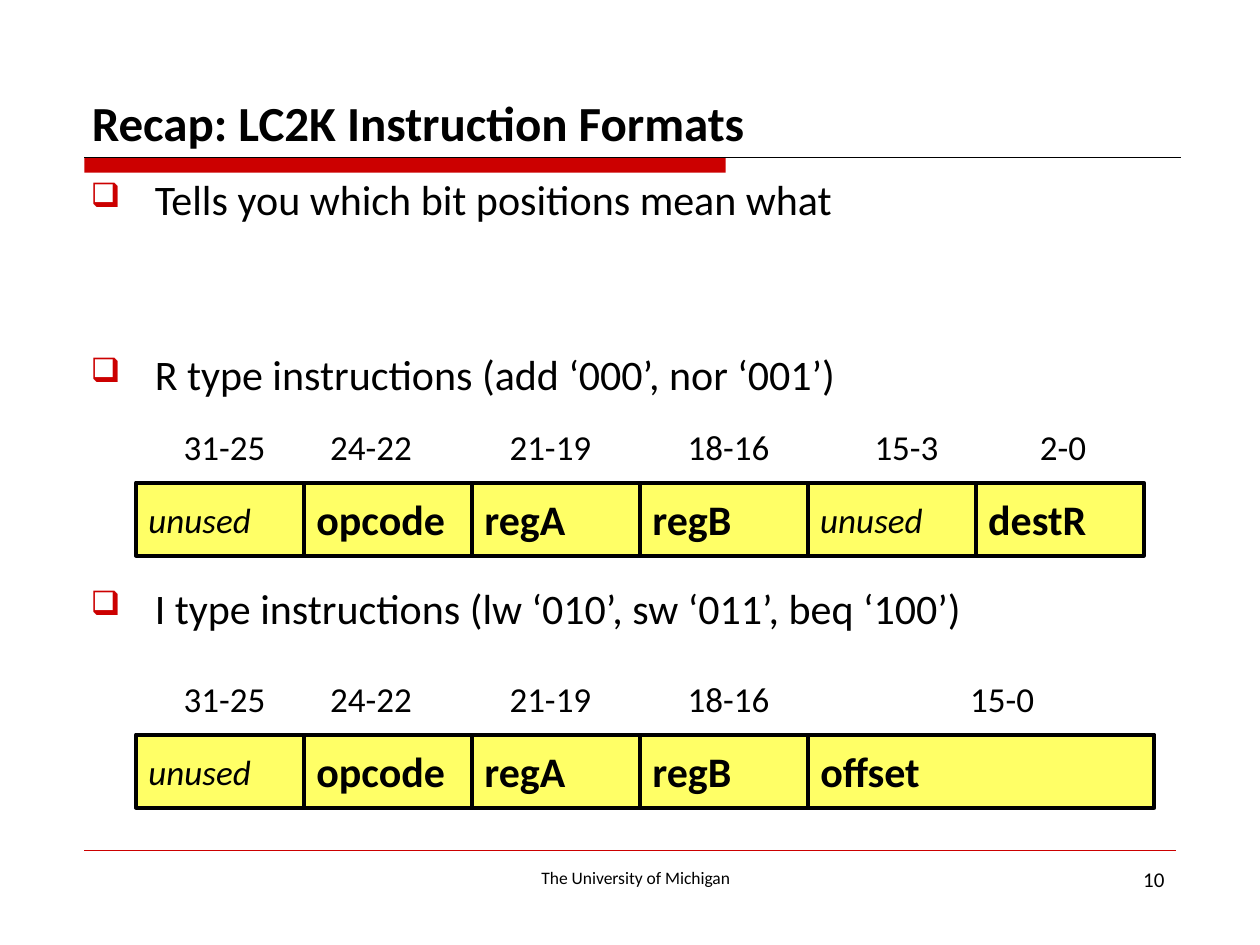
from lxml import etree
from pptx import Presentation
from pptx.dml.color import RGBColor
from pptx.enum import shapes, text
from pptx.oxml.ns import qn
from pptx.util import Inches, Pt

FONT, BLACK, RED, YELLOW = "Calibri", "000000", "CC0000", "FFFF66"
FIELD_W = 1.333
COMMON_FIELDS = [
    ("unused", FIELD_W, "31-25", 0.28, 0.86),
    ("opcode", FIELD_W, "24-22", 0.11, 0.86),
    ("regA", FIELD_W, "21-19", 0.2, 0.86),
    ("regB", FIELD_W, "18-16", 0.28, 0.86),
]
R_FIELDS = COMMON_FIELDS + [
    ("unused", FIELD_W, "15-3", 0.43, 0.71),
    ("destR", FIELD_W, "2-0", 0.41, 0.57),
]
I_FIELDS = COMMON_FIELDS + [("offset", 2.75, "15-0", 1.19, 0.71)]
BULLETS = [
    ("Tells you which bit positions mean what", 0),
    ("R type instructions (add ‘000’, nor ‘001’)", 71.3),
    ("I type instructions (lw ‘010’, sw ‘011’, beq ‘100’)", 104.4),
]


def rgb(value):
    """Turn a hex string into a colour."""
    return RGBColor.from_string(value)


def write(p, words, size=20, bold=False, italic=False, align=text.PP_ALIGN.LEFT):
    """Fill a paragraph with one formatted run."""
    p.alignment = align
    r = p.add_run()
    r.text = words
    r.font.name, r.font.size = FONT, Pt(size)
    r.font.bold, r.font.italic = bold, italic
    r.font.color.rgb = rgb(BLACK)


def add_text(s, box, words, wrap=True, anchor=text.MSO_ANCHOR.TOP, **fmt):
    """Place a one-paragraph text box."""
    tf = s.shapes.add_textbox(*map(Inches, box)).text_frame
    tf.word_wrap, tf.vertical_anchor = wrap, anchor
    write(tf.paragraphs[0], words, **fmt)


def add_rect(s, box, fill, line=None):
    """Place a filled rectangle, outlined when a line colour is given."""
    sp = s.shapes.add_shape(shapes.MSO_SHAPE.RECTANGLE, *map(Inches, box))
    sp.shadow.inherit = False
    sp.fill.solid()
    sp.fill.fore_color.rgb = rgb(fill)
    if line:
        sp.line.color.rgb, sp.line.width = rgb(line), Pt(2.25)
    else:
        sp.line.fill.background()
    return sp


def add_rule(s, x, y, width, color, weight):
    """Draw a horizontal rule."""
    ends = map(Inches, (x, y, x + width, y))
    sp = s.shapes.add_connector(shapes.MSO_CONNECTOR.STRAIGHT, *ends)
    sp.line.color.rgb, sp.line.width = rgb(color), Pt(weight)
    etree.SubElement(sp._element.spPr, qn("a:effectLst"))


def add_header(s, x, y, width, height):
    """Place the title above its rule and red bar."""
    add_text(s, (x, y, width, height), "Recap: LC2K Instruction Formats",
             anchor=text.MSO_ANCHOR.BOTTOM, size=28, bold=True)
    rule_x, rule_y = x + 0.04, y + height
    add_rect(s, (rule_x, rule_y, 5.09, 0.12), RED)
    add_rule(s, rule_x, rule_y, 8.7, BLACK, 0.5)


def add_bullets(s, x, y, width, height):
    """Place the bulleted statements, spaced to leave room for the diagrams."""
    tf = s.shapes.add_textbox(*map(Inches, (x, y, width, height))).text_frame
    tf.word_wrap = True
    for i, (words, gap) in enumerate(BULLETS):
        p = tf.add_paragraph() if i else tf.paragraphs[0]
        p.space_before = Pt(gap)
        pPr = p._p.get_or_add_pPr()
        pPr.set("marL", str(Inches(0.51)))
        pPr.set("indent", str(Inches(-0.51)))
        color = etree.SubElement(pPr, qn("a:buClr"))
        etree.SubElement(color, qn("a:srgbClr"), val=RED)
        etree.SubElement(pPr, qn("a:buSzPct"), val="80000")
        etree.SubElement(pPr, qn("a:buChar"), char="❑")
        write(p, words, size=24)


def add_format(s, x, y, fields):
    """Draw an instruction format: bit ranges above a row of fields."""
    for name, width, bits, offset, bits_w in fields:
        add_text(s, (x + offset, y, bits_w, 0.44), bits, wrap=False)
        sp = add_rect(s, (x, y + 0.5, width, 0.58), YELLOW, BLACK)
        tf = sp.text_frame
        tf.word_wrap, tf.vertical_anchor = False, text.MSO_ANCHOR.MIDDLE
        unused = name == "unused"
        write(tf.paragraphs[0], name, size=20 if unused else 24,
              bold=not unused, italic=unused)
        x += width


def add_footer(s, x, y, width):
    """Place the footer rule, the university name and the page number."""
    add_rule(s, x, y, width, RED, 0.25)
    add_text(s, (x + 2.5, y + 0.08, 3.75, 0.27), "The University of Michigan",
             size=10, align=text.PP_ALIGN.CENTER)
    add_text(s, (x + width - 1.66, y + 0.08, 1.67, 0.52), "10",
             size=12, align=text.PP_ALIGN.RIGHT)


def main():
    """Build and save the slide."""
    prs = Presentation()
    prs.slide_width, prs.slide_height = Inches(10), Inches(7.5)
    s = prs.slides.add_slide(prs.slide_layouts[6])
    add_header(s, 0.63, 0.33, 8.75, 0.92)
    add_footer(s, 0.67, 6.75, 8.66)
    add_bullets(s, 0.62, 1.33, 9.21, 5.25)
    add_format(s, 1.08, 3.33, R_FIELDS)
    add_format(s, 1.08, 5.33, I_FIELDS)
    prs.save("out.pptx")


if __name__ == "__main__":
    main()
